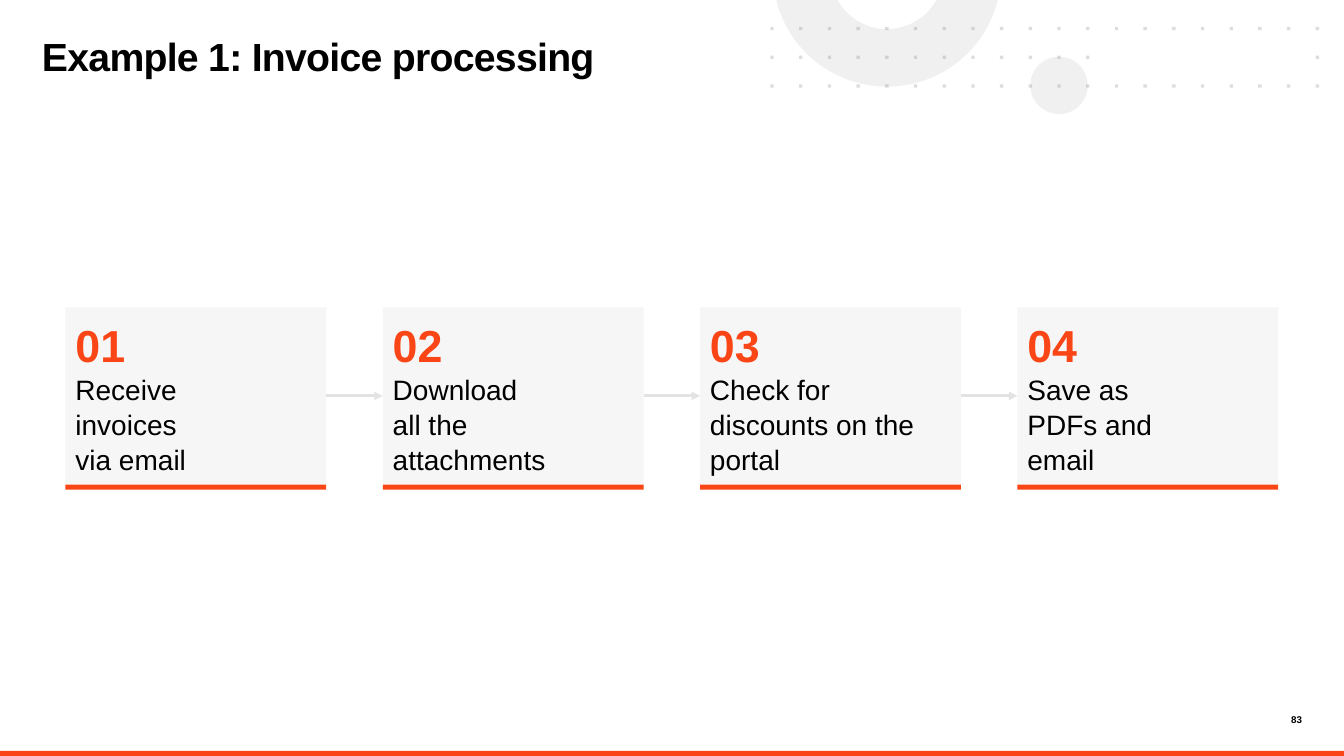
import math

from lxml import etree
from pptx import Presentation
from pptx.dml.color import RGBColor
from pptx.enum.shapes import MSO_CONNECTOR, MSO_SHAPE
from pptx.enum.text import MSO_ANCHOR, MSO_AUTO_SIZE, PP_ALIGN
from pptx.oxml.ns import qn
from pptx.util import Pt

RECTANGLE, OVAL = MSO_SHAPE.RECTANGLE, MSO_SHAPE.OVAL
STRAIGHT = MSO_CONNECTOR.STRAIGHT
TOP, MIDDLE = MSO_ANCHOR.TOP, MSO_ANCHOR.MIDDLE
LEFT, RIGHT = PP_ALIGN.LEFT, PP_ALIGN.RIGHT
SIDE_LEFT, SIDE_RIGHT = 1, 3

TITLE = "Example 1: Invoice processing"
PAGE_NUMBER = "83"
STEPS = [
    ("01", ["Receive", "invoices", "via email"]),
    ("02", ["Download", "all the", "attachments"]),
    ("03", ["Check for discounts on the portal"]),
    ("04", ["Save as", "PDFs and", "email"]),
]

FONT = "Arial"
ORANGE, BLACK, CARD_GRAY, LIGHT_GRAY, DOT_GRAY = (
    "FA4616", "000000", "F6F6F6", "E3E3E3", "58595B")

SLIDE_WIDTH, SLIDE_HEIGHT = 960, 540
CARD_LEFT, CARD_TOP, CARD_WIDTH, CARD_HEIGHT, CARD_PITCH = 46.8, 219.6, 186.3, 126.4, 226.65
BAR_TOP, BAR_HEIGHT = 346.2, 3.6
RING_X, RING_Y, RING_OUTER, RING_INNER = 633.6, -19.7, 81.6, 40.5
DOT_LEFT, DOT_TOP, DOT_PITCH, DOT_SIZE = 550.3, 19.2, 20.5, 2.4
DOT_COLUMNS, DOT_ROWS = 20, 3
DOT_GAP = range(12, 19)  # columns left empty in the middle row


def color(hex_string):
    return RGBColor.from_string(hex_string)


def paint(shape, fill, opacity=100):
    shape.shadow.inherit = False
    shape.line.fill.background()
    shape.fill.solid()
    shape.fill.fore_color.rgb = color(fill)
    if opacity < 100:
        fill_color = shape.fill._xPr.find(qn("a:solidFill"))[0]
        etree.SubElement(fill_color, qn("a:alpha"), val=str(opacity * 1000))


def add_block(kind, left, top, width, height, fill, opacity=100):
    shape = slide.shapes.add_shape(kind, Pt(left), Pt(top), Pt(width), Pt(height))
    paint(shape, fill, opacity)
    return shape


def add_outline(contours, fill, opacity):
    """Draw closed contours, given as lists of points, as one freeform."""
    contours = [[(Pt(x), Pt(y)) for x, y in contour] for contour in contours]
    builder = slide.shapes.build_freeform(*contours[0][0])
    for index, contour in enumerate(contours):
        if index:
            builder.move_to(*contour[0])
        builder.add_line_segments(contour[1:], close=True)
    paint(builder.convert_to_shape(), fill, opacity)


def write(frame, text, size=20, fill=BLACK, bold=False, align=LEFT,
          spacing=1.0, tracking=0, new=False):
    paragraph = frame.add_paragraph() if new else frame.paragraphs[0]
    paragraph.alignment = align
    paragraph.line_spacing = spacing
    run = paragraph.add_run()
    run.text = text
    run.font.name, run.font.size, run.font.bold = FONT, Pt(size), bold
    run.font.color.rgb = color(fill)
    if tracking:
        run.font._element.set("spc", str(round(tracking * 100)))


def format_frame(frame, margin, anchor):
    frame.word_wrap = True
    frame.auto_size = MSO_AUTO_SIZE.NONE
    frame.vertical_anchor = anchor
    frame.margin_left = frame.margin_right = Pt(margin)
    frame.margin_top = frame.margin_bottom = Pt(margin)


def arc(radius, start, end, steps=48):
    """Points on a ring circle between two angles."""
    angles = [start + (end - start) * step / steps for step in range(steps + 1)]
    return [(RING_X + radius * math.cos(angle), RING_Y + radius * math.sin(angle))
            for angle in angles]


def add_ring():
    """Draw the part of the ring that lies below the slide's top edge."""
    outer, inner = (math.asin(-RING_Y / radius) for radius in (RING_OUTER, RING_INNER))
    contour = (arc(RING_OUTER, outer, math.pi - outer)
               + arc(RING_INNER, math.pi - inner, inner))
    add_outline([contour], LIGHT_GRAY, 50)


def add_dots():
    dots = []
    for row in range(DOT_ROWS):
        for column in range(DOT_COLUMNS):
            if row == 1 and column in DOT_GAP:
                continue
            x, y = DOT_LEFT + column * DOT_PITCH, DOT_TOP + row * DOT_PITCH
            dots.append([(x, y), (x + DOT_SIZE, y),
                         (x + DOT_SIZE, y + DOT_SIZE), (x, y + DOT_SIZE)])
    add_outline(dots, DOT_GRAY, 20)


def add_card(left, number, lines):
    card = add_block(RECTANGLE, left, CARD_TOP, CARD_WIDTH, CARD_HEIGHT, CARD_GRAY)
    format_frame(card.text_frame, 7.2, MIDDLE)
    write(card.text_frame, number, size=32, fill=ORANGE, bold=True, spacing=1.04)
    for line in lines:
        write(card.text_frame, line, spacing=1.04, new=True)
    add_block(RECTANGLE, left, BAR_TOP, CARD_WIDTH, BAR_HEIGHT, ORANGE)
    return card


def add_arrow(source, target):
    arrow = slide.shapes.add_connector(STRAIGHT, 0, 0, 0, 0)
    arrow.begin_connect(source, SIDE_RIGHT)
    arrow.end_connect(target, SIDE_LEFT)
    arrow.line.width = Pt(2)
    arrow.line.color.rgb = color(LIGHT_GRAY)
    etree.SubElement(arrow.line._get_or_add_ln(), qn("a:tailEnd"), type="triangle")
    etree.SubElement(arrow._element.spPr, qn("a:effectLst"))


presentation = Presentation()
presentation.slide_width, presentation.slide_height = Pt(SLIDE_WIDTH), Pt(SLIDE_HEIGHT)
slide = presentation.slides.add_slide(presentation.slide_layouts[5])

title = slide.shapes.title
title.left, title.top, title.width, title.height = Pt(30), Pt(28), Pt(520.5), Pt(54)
format_frame(title.text_frame, 0, TOP)
write(title.text_frame, TITLE, size=28, bold=True, spacing=0.85, tracking=-0.5)

add_block(RECTANGLE, 0, 536.4, SLIDE_WIDTH, 3.6, ORANGE)
add_block(OVAL, 736, 40.5, 41, 41, LIGHT_GRAY, 50)
add_ring()
add_dots()

page_number = slide.shapes.add_textbox(Pt(902), Pt(510), Pt(28), Pt(9.4))
format_frame(page_number.text_frame, 0, TOP)
write(page_number.text_frame, PAGE_NUMBER, size=7, bold=True, align=RIGHT)

cards = [add_card(CARD_LEFT + index * CARD_PITCH, number, lines)
         for index, (number, lines) in enumerate(STEPS)]
for source, target in zip(cards, cards[1:]):
    add_arrow(source, target)

presentation.save("out.pptx")
